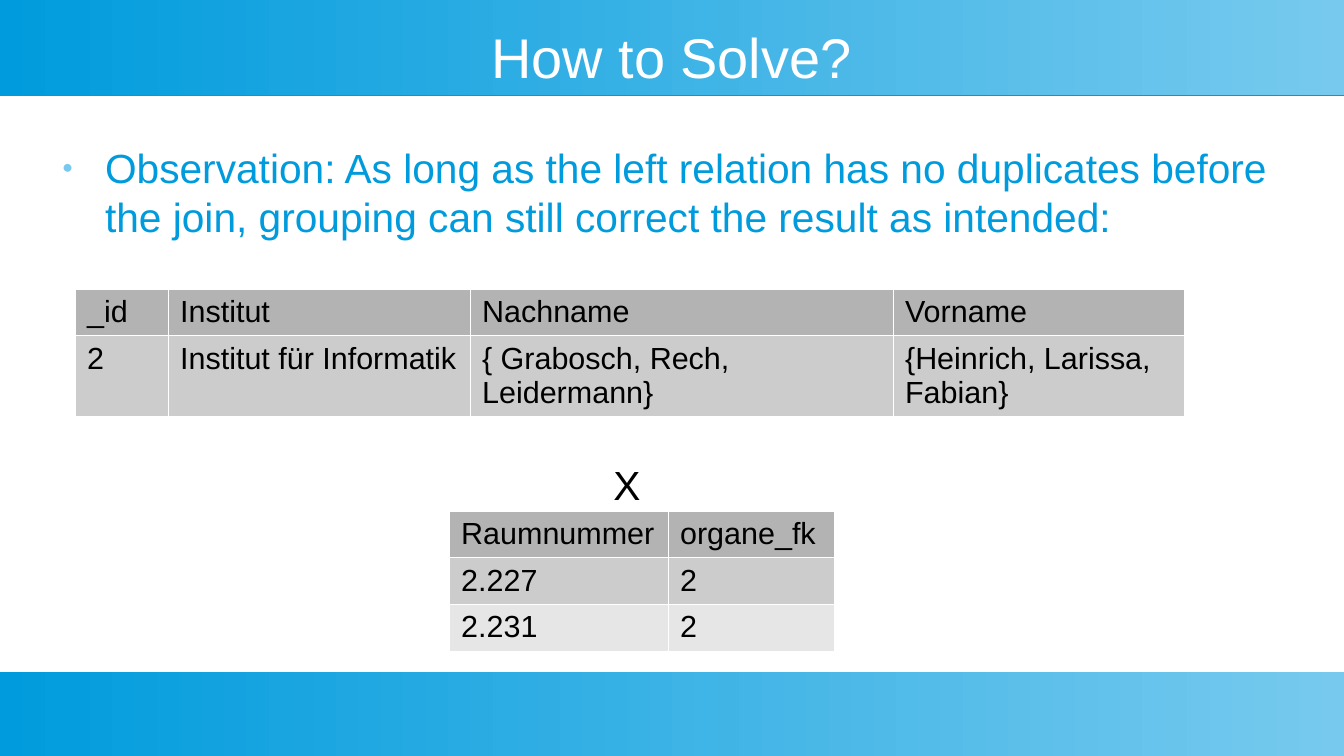
from lxml import etree
from pptx import Presentation
from pptx import util as u
from pptx.dml.color import RGBColor
from pptx.enum import shapes, text
from pptx.oxml.ns import qn

THEME = {
    "font": "Arial", "title": 33, "body": 24, "table": 18,
    "blue": "009BDD", "light": "77CAEE", "white": "FFFFFF", "black": "000000",
    "rows": ["B3B3B3", "CCCCCC", "E6E6E6"],
}
PX = u.Inches(1) / 122
W, H = 1344, 756


def px(*lengths):
    return [u.Emu(round(n * PX)) for n in lengths]


def add_run(p, words, size, color):
    r = p.add_run()
    r.text = words
    r.font.name = THEME["font"]
    r.font.size = u.Pt(THEME[size])
    r.font.color.rgb = RGBColor.from_string(THEME[color])


prs = Presentation()
prs.slide_width, prs.slide_height = px(W, H)
s = prs.slides.add_slide(prs.slide_layouts[1])
title, body = s.shapes.title, s.placeholders[1]

# Gradient bands, kept behind the placeholders
backdrop = []
for top, height in [(0, 96), (672, 84)]:
    sp = s.shapes.add_shape(shapes.MSO_SHAPE.RECTANGLE, *px(0, top, W, height))
    sp.shadow.inherit = False
    sp.line.fill.background()
    sp.fill.gradient()
    sp.fill.gradient_angle = 0
    for stop, color in zip(sp.fill.gradient_stops, ["blue", "light"]):
        stop.color.rgb = RGBColor.from_string(THEME[color])
    backdrop.append(sp)

# Thin edge under the header
edge = s.shapes.add_connector(shapes.MSO_CONNECTOR.STRAIGHT, *px(0, 96, W, 96))
edge.line.color.rgb = RGBColor.from_string(THEME["blue"])
edge.line.width = u.Pt(0.6)
etree.SubElement(edge._element.spPr, qn("a:effectLst"))
backdrop.append(edge)
for sp in reversed(backdrop):
    s.shapes._spTree.insert(2, sp._element)

# Title, statement and join sign
join = s.shapes.add_textbox(*px(587, 460, 80, 46))
for sp, box, anchor in [
    (title, (47, 24, 1249, 64), text.MSO_ANCHOR.MIDDLE),
    (body, (47, 143, 1249, 110), text.MSO_ANCHOR.TOP),
    (join, (587, 460, 80, 46), text.MSO_ANCHOR.TOP),
]:
    sp.left, sp.top, sp.width, sp.height = px(*box)
    tf = sp.text_frame
    tf.margin_left = tf.margin_top = tf.margin_right = tf.margin_bottom = 0
    tf.word_wrap = True
    tf.auto_size = text.MSO_AUTO_SIZE.NONE
    tf.vertical_anchor = anchor

p = title.text_frame.paragraphs[0]
p.alignment = text.PP_ALIGN.CENTER
add_run(p, "How to Solve?", "title", "white")

p = body.text_frame.paragraphs[0]
p.space_before = u.Pt(0)
p.line_spacing = 1.0
pPr = p._p.get_or_add_pPr()
indent, hanging = px(58, 43)
pPr.set("marL", str(indent))
pPr.set("indent", str(-hanging))
bullet_color = etree.SubElement(pPr, qn("a:buClr"))
etree.SubElement(bullet_color, qn("a:srgbClr"), val=THEME["light"])
etree.SubElement(pPr, qn("a:buSzPct"), val="45000")
etree.SubElement(pPr, qn("a:buChar"), char="●")
add_run(p, "Observation: As long as the left relation has no duplicates before "
           "the join, grouping can still correct the result as intended:", "body", "blue")

p = join.text_frame.paragraphs[0]
p.alignment = text.PP_ALIGN.CENTER
add_run(p, "X", "body", "black")

# Tables of the two joined relations
relations = [
    (75, 289, [93, 302, 423, 291], [46, 80], [
        ["_id", "Institut", "Nachname", "Vorname"],
        ["2", "Institut für Informatik", "{ Grabosch, Rech, Leidermann}",
         "{Heinrich, Larissa, Fabian}"],
    ]),
    (449, 511, [219, 166], [46, 46, 47], [
        ["Raumnummer", "organe_fk"],
        ["2.227", "2"],
        ["2.231", "2"],
    ]),
]
for left, top, widths, heights, rows in relations:
    frame = s.shapes.add_table(len(rows), len(widths),
                               *px(left, top, sum(widths), sum(heights)))
    table = frame.table
    table.first_row = table.horz_banding = False
    for col, width in zip(table.columns, px(*widths)):
        col.width = width
    for i, (row, height) in enumerate(zip(table.rows, px(*heights))):
        row.height = height
        for cell, words in zip(row.cells, rows[i]):
            # A slimmer right margin keeps the long headings on one line
            cell.margin_right = px(8)[0]
            add_run(cell.text_frame.paragraphs[0], words, "table", "black")
            tcPr = cell._tc.get_or_add_tcPr()
            for side in ("lnL", "lnR", "lnT", "lnB"):
                ln = etree.SubElement(tcPr, qn("a:" + side), w="762")
                fill = etree.SubElement(ln, qn("a:solidFill"))
                etree.SubElement(fill, qn("a:srgbClr"), val=THEME["white"])
            cell.fill.solid()
            cell.fill.fore_color.rgb = RGBColor.from_string(THEME["rows"][i])

prs.save("out.pptx")
